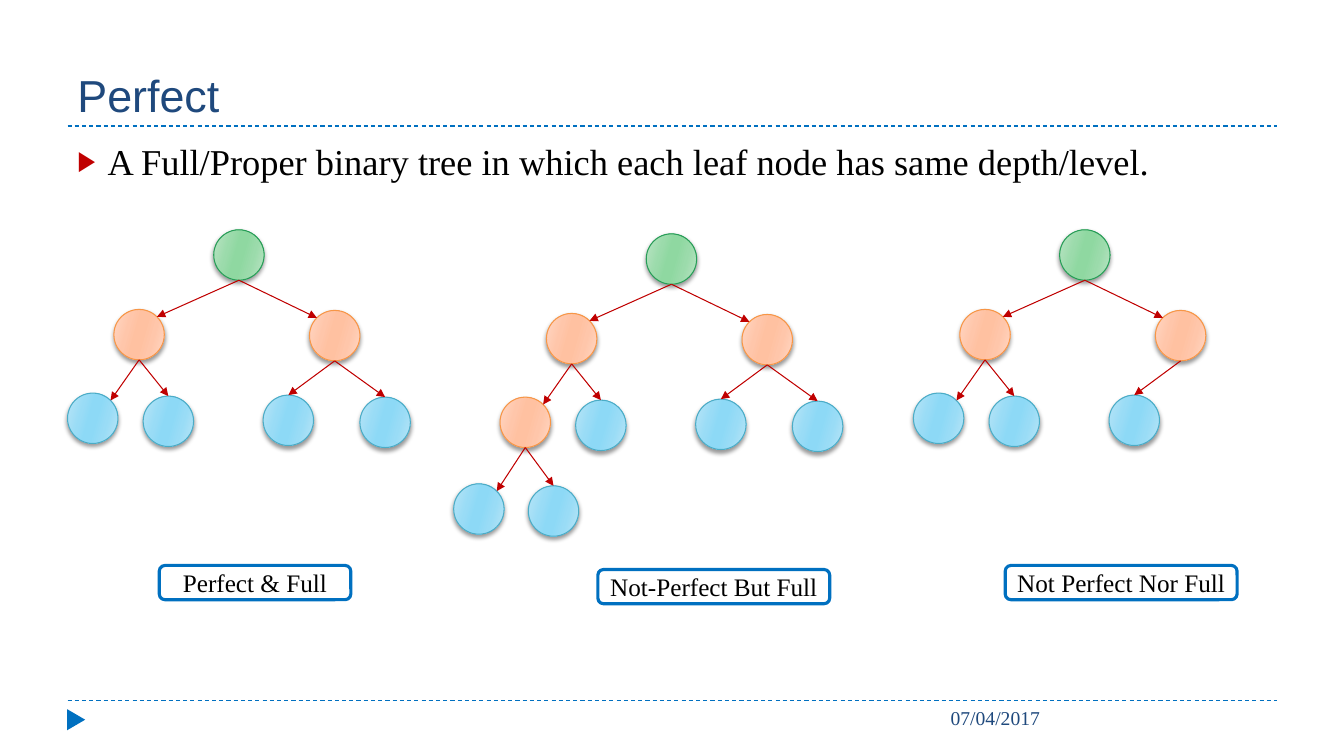
import math

import pptx
import pptx.dml.color
import pptx.enum.dml
import pptx.enum.shapes
import pptx.enum.text
import pptx.oxml
import pptx.oxml.ns
import pptx.util
from pptx.dml.color import RGBColor
from pptx.enum.shapes import MSO_SHAPE
from pptx.enum.text import MSO_ANCHOR, PP_ALIGN
from pptx.util import Inches, Pt

WHITE = RGBColor(0xFF, 0xFF, 0xFF)
BLACK = RGBColor(0x00, 0x00, 0x00)
NAVY = RGBColor(0x1F, 0x49, 0x7D)
BLUE = RGBColor(0x00, 0x70, 0xC0)
RED = RGBColor(0xC0, 0x00, 0x00)

# Outline, then gradient from edge to centre
ROOT_COLOURS = (RGBColor(0x27, 0x9D, 0x57), RGBColor(0xBB, 0xE4, 0xC5),
                RGBColor(0x9B, 0xDB, 0xAB), RGBColor(0x8F, 0xD8, 0xA1))
INNER_COLOURS = (RGBColor(0xF7, 0x96, 0x46), RGBColor(0xFF, 0xD7, 0xC5),
                 RGBColor(0xFF, 0xC6, 0xAA), RGBColor(0xFF, 0xC1, 0xA1))
LEAF_COLOURS = (RGBColor(0x4B, 0xAC, 0xC6), RGBColor(0xB9, 0xE5, 0xF7),
                RGBColor(0x99, 0xDC, 0xF6), RGBColor(0x8D, 0xD9, 0xF6))

SANS, SERIF = "Arial", "Times New Roman"
NODE = 0.5  # node diameter

# Each node is named by its left/right turns from the root:
# offset from the root, and the side (-1, 0, 1) where its arrow arrives
NODES = {
    "": (0, 0, 0),
    "L": (-0.99, 0.79, 1), "R": (0.95, 0.8, -1),
    "LL": (-1.45, 1.62, 1), "LR": (-0.7, 1.65, 0),
    "RL": (0.49, 1.64, 0), "RR": (1.45, 1.66, 0),
    "LLL": (-1.91, 2.48, 1), "LLR": (-1.17, 2.5, 0),
}


def xml(content):
    return pptx.oxml.parse_xml(
        content.replace(">", f' {pptx.oxml.ns.nsdecls("a")}>', 1)
        if "/>" not in content.split(">")[0] + ">"
        else content.replace("/>", f' {pptx.oxml.ns.nsdecls("a")}/>', 1))


def add_run(frame, words, size, font, colour):
    run = frame.paragraphs[0].add_run()
    run.text = words
    run.font.size = Pt(size)
    run.font.name = font
    run.font.color.rgb = colour


def add_text(slide, box, words, size, font, colour, anchor=MSO_ANCHOR.TOP):
    frame = slide.shapes.add_textbox(*map(Inches, box)).text_frame
    frame.word_wrap = True
    frame.vertical_anchor = anchor
    add_run(frame, words, size, font, colour)
    return frame


def add_line(slide, start, end, colour):
    line = slide.shapes.add_connector(
        pptx.enum.shapes.MSO_CONNECTOR.STRAIGHT, *map(Inches, (*start, *end)))
    line.line.color.rgb = colour
    line.line.width = Pt(0.75)
    line._element.spPr.append(xml("<a:effectLst/>"))
    return line


def add_rule(slide, left, top, width):
    rule = add_line(slide, (left, top), (left + width, top), BLUE)
    rule.line.dash_style = pptx.enum.dml.MSO_LINE.DASH


def add_header(slide, left, top, width, height):
    add_rule(slide, left, top + height, width)
    add_text(slide, (left, top, width, height), "Perfect", 32, SANS, NAVY,
             MSO_ANCHOR.BOTTOM)


def add_definition(slide, left, top, width, height):
    frame = add_text(
        slide, (left, top, width, height),
        "A Full/Proper binary tree in which each leaf node has same depth/level.",
        26, SERIF, BLACK)
    bullet = frame.paragraphs[0]._p.get_or_add_pPr()
    bullet.set("marL", str(Inches(0.3)))
    bullet.set("indent", str(Inches(-0.3)))
    for part in (f'<a:buClr><a:srgbClr val="{RED}"/></a:buClr>',
                 '<a:buSzPct val="76000"/>',
                 f'<a:buFont typeface="{SANS}"/>',
                 '<a:buChar char="▶"/>'):
        bullet.append(xml(part))


def add_footer(slide, left, top, width, height):
    add_rule(slide, left, top, width)
    marker = slide.shapes.add_shape(
        MSO_SHAPE.ISOSCELES_TRIANGLE,
        *map(Inches, (left - 0.02, top + 0.1, 0.21, 0.18)))
    marker.rotation = 90
    marker.shadow.inherit = False
    marker.fill.solid()
    marker.fill.fore_color.rgb = BLUE
    marker.line.fill.background()
    add_text(slide, (left + 8.66, top, width - 8.66, height),
             "07/04/2017", 14, SERIF, NAVY)


def add_node(slide, left, top, colours):
    outline, edge, middle, centre = colours
    node = slide.shapes.add_shape(
        MSO_SHAPE.OVAL, *map(Inches, (left, top, NODE, NODE)))
    node.line.color.rgb = outline
    node.line.width = Pt(0.75)
    stops = zip((0, 30, 45, 55, 73, 100),
                (edge, middle, centre, centre, middle, edge))
    gradient = "".join(
        f'<a:gs pos="{place * 1000}"><a:srgbClr val="{colour}"/></a:gs>'
        for place, colour in stops)
    properties = node._element.spPr
    properties.insert(2, xml(
        f'<a:gradFill><a:gsLst>{gradient}</a:gsLst>'
        f'<a:lin ang="{16 * 60000}" scaled="0"/></a:gradFill>'))
    properties.append(xml(
        f'<a:effectLst><a:outerShdw blurRad="{Pt(3)}" dist="{Pt(2)}" '
        f'dir="{90 * 60000}" rotWithShape="0"><a:srgbClr val="{BLACK}">'
        '<a:alpha val="40000"/></a:srgbClr></a:outerShdw></a:effectLst>'))


def add_edge(slide, parent, child, side):
    radius = NODE / 2
    angle = math.radians(45 * side)
    start = (parent[0] + radius, parent[1] + NODE)
    end = (child[0] + radius * (1 + math.sin(angle)),
           child[1] + radius * (1 - math.cos(angle)))
    arrow = add_line(slide, start, end, RED)
    arrow.line._get_or_add_ln().append(xml('<a:tailEnd type="triangle"/>'))


def add_label(slide, box, words):
    label = slide.shapes.add_shape(
        MSO_SHAPE.ROUNDED_RECTANGLE, *map(Inches, box))
    label.shadow.inherit = False
    label.fill.solid()
    label.fill.fore_color.rgb = WHITE
    label.line.color.rgb = BLUE
    label.line.width = Pt(2.25)
    frame = label.text_frame
    frame.word_wrap = False
    frame.vertical_anchor = MSO_ANCHOR.MIDDLE
    frame.paragraphs[0].alignment = PP_ALIGN.CENTER
    add_run(frame, words, 18, SERIF, BLACK)


def add_tree(slide, left, top, turns, caption, caption_offset, caption_width):
    """Place a tree whose root has its corner at left, top."""
    places = {turn: (left + NODES[turn][0], top + NODES[turn][1])
              for turn in ["", *turns]}
    for turn, place in places.items():
        is_parent = turn + "L" in places
        colours = (ROOT_COLOURS if not turn
                   else INNER_COLOURS if is_parent else LEAF_COLOURS)
        add_node(slide, *place, colours)
    for turn in turns:
        add_edge(slide, places[turn[:-1]], places[turn], NODES[turn][2])
    add_label(slide, (left + caption_offset, top + 3.33, caption_width, 0.34),
              caption)


def main():
    deck = pptx.Presentation()
    deck.slide_width, deck.slide_height = Inches(13.33), Inches(7.5)
    slide = deck.slides.add_slide(deck.slide_layouts[6])

    # Frame and definition
    add_header(slide, 0.67, 0.17, 12, 1.08)
    add_footer(slide, 0.67, 6.95, 12, 0.4)
    add_definition(slide, 0.67, 1.33, 12, 5.4)

    # The three example trees
    perfect = ["L", "R", "LL", "LR", "RL", "RR"]
    add_tree(slide, 2.12, 2.28, perfect, "Perfect & Full", -0.54, 1.9)
    add_tree(slide, 6.41, 2.32, perfect + ["LLL", "LLR"],
             "Not-Perfect But Full", -0.48, 2.3)
    add_tree(slide, 10.51, 2.28, perfect[:-1],
             "Not Perfect Nor Full", -0.54, 2.3)

    deck.save("out.pptx")


if __name__ == "__main__":
    main()
